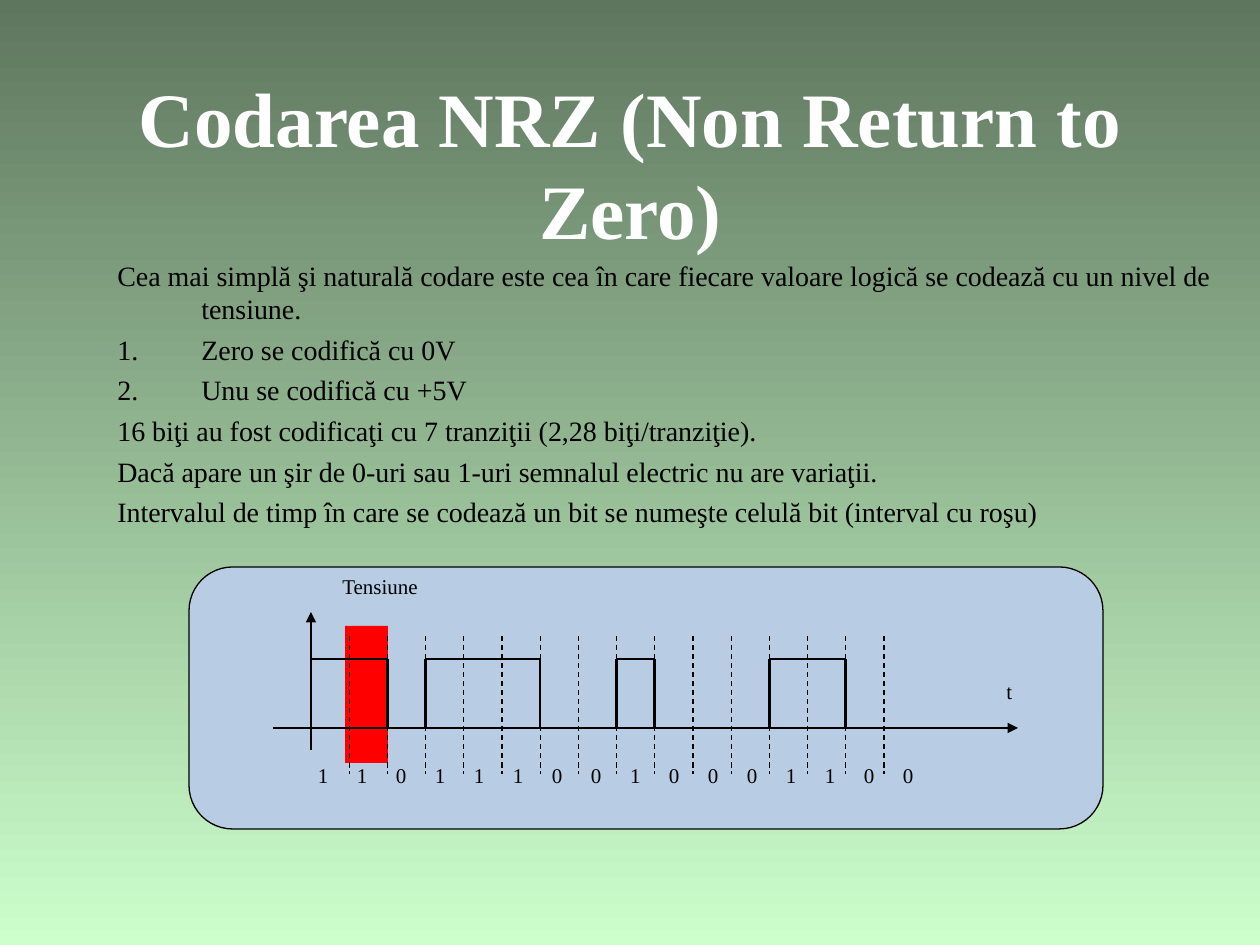
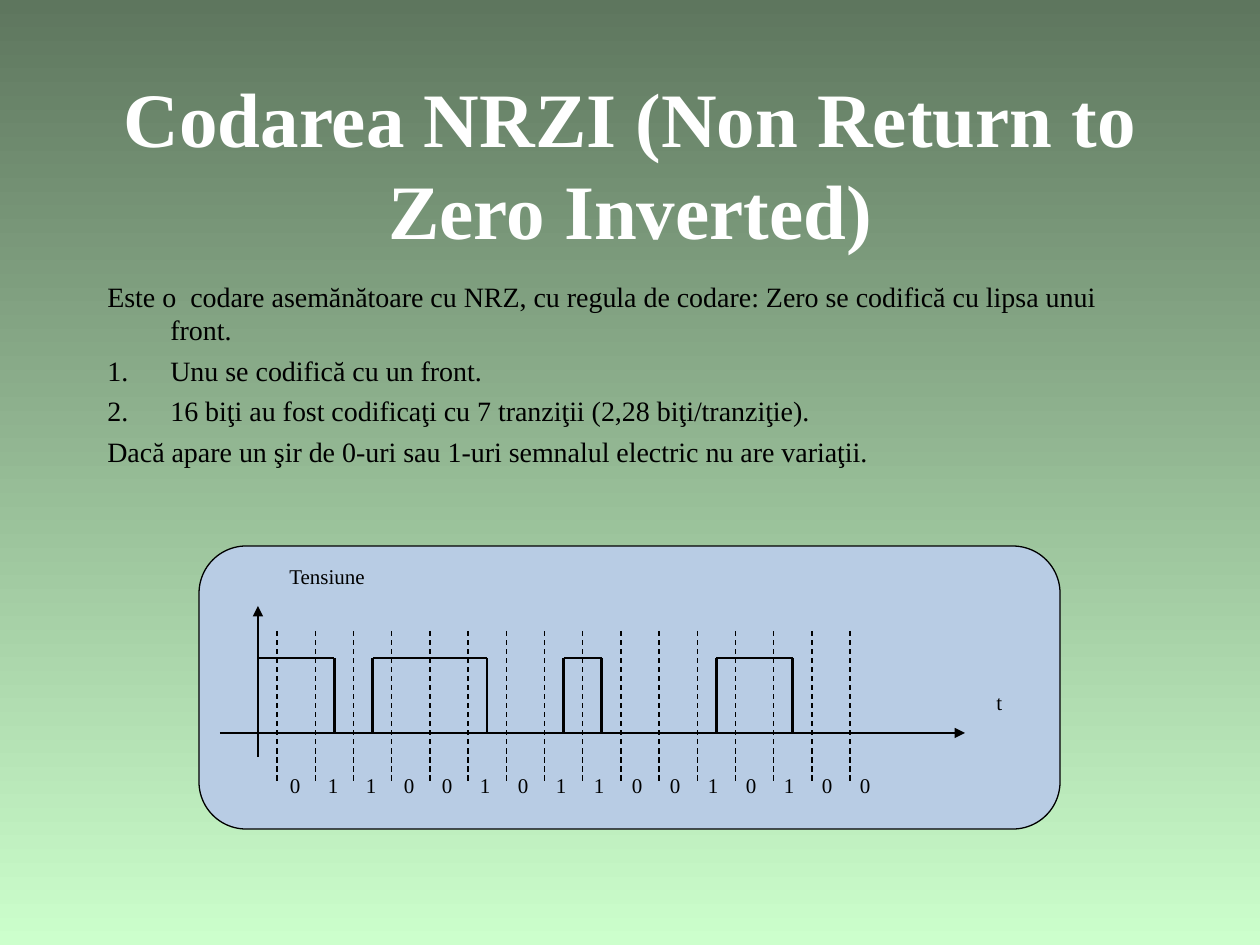
from lxml import etree
from pptx import Presentation
from pptx.dml.color import RGBColor
from pptx.enum.dml import MSO_LINE
from pptx.enum.shapes import MSO_CONNECTOR, MSO_SHAPE
from pptx.enum.text import MSO_ANCHOR, PP_ALIGN
from pptx.oxml.ns import qn
from pptx.util import Pt

PX = 914400 / 126
FONT = "Times New Roman"
BLACK = RGBColor(0x00, 0x00, 0x00)
WHITE = RGBColor(0xFF, 0xFF, 0xFF)
RED = RGBColor(0xFF, 0x00, 0x00)
PANEL_BLUE = RGBColor(0xB8, 0xCC, 0xE4)
GRADIENT = (RGBColor(0x5E, 0x76, 0x5E), RGBColor(0xCC, 0xFF, 0xCC))
STRAIGHT = MSO_CONNECTOR.STRAIGHT
ROUNDED = MSO_SHAPE.ROUNDED_RECTANGLE
RECTANGLE = MSO_SHAPE.RECTANGLE
DASH = MSO_LINE.DASH
TOP, MIDDLE = MSO_ANCHOR.TOP, MSO_ANCHOR.MIDDLE
LEFT, CENTER = PP_ALIGN.LEFT, PP_ALIGN.CENTER

TITLE_BOX = (95, 84, 1071, 158)
TITLE_FORMAT = {"size": Pt(44), "bold": True, "color": WHITE}
BODY_FORMAT = {"size": Pt(16), "bold": False, "color": BLACK}
LABEL_FORMAT = {"size": Pt(12), "bold": False, "color": BLACK}
CELL_WIDTH = 38.2
LEVEL_CHANGES = [0, 2, 3, 6, 8, 9, 12, 14]

CODINGS = [
    {
        "title": "Codarea NRZ (Non Return to Zero)",
        "body": [
            "Cea mai simplă şi naturală codare este cea în care fiecare valoare logică "
            "se codează cu un nivel de tensiune.",
            "Zero se codifică cu 0V",
            "Unu se codifică cu +5V",
            "16 biţi au fost codificaţi cu 7 tranziţii (2,28 biţi/tranziţie).",
            "Dacă apare un şir de 0-uri sau 1-uri semnalul electric nu are variaţii.",
            "Intervalul de timp în care se codează un bit se numeşte celulă bit "
            "(interval cu roşu)",
        ],
        "body_box": (105, 252, 1124, 294),
        "hanging": 84,
        "panel": (189, 567, 914, 262),
        "highlight": (345, 626, 43, 137),
        "bits": "1101110010001100",
        "bits_box": (305, 756, 649, 68),
        "bits_inset": 13,
        "bit_step": 39,
        "time_box": (994, 672, 77, 68),
        "voltage_box": (330, 567, 152, 68),
        "origin": 311,
        "axis": (750, 612),
        "levels": (659, 728),
        "guides": (636, 774),
        "guide_cells": range(1, 16),
        "guide_shift": 0,
        "signal_end": 16,
    },
    {
        "title": "Codarea NRZI (Non Return to Zero Inverted)",
        "body": [
            "Este o  codare asemănătoare cu NRZ, cu regula de codare: Zero se codifică "
            "cu lipsa unui front.",
            "Unu se codifică cu un front.",
            "16 biţi au fost codificaţi cu 7 tranziţii (2,28 biţi/tranziţie).",
            "Dacă apare un şir de 0-uri sau 1-uri semnalul electric nu are variaţii.",
        ],
        "body_box": (95, 273, 1018, 252),
        "hanging": 63,
        "panel": (199, 546, 861, 283),
        "highlight": None,
        "bits": "0110010110010100",
        "bits_box": (262, 766, 649, 76),
        "bits_inset": 28,
        "bit_step": 38,
        "time_box": (984, 683, 77, 74),
        "voltage_box": (277, 557, 152, 76),
        "origin": 258,
        "axis": (757, 606),
        "levels": (658, 733),
        "guides": (631, 781),
        "guide_cells": range(16),
        "guide_shift": 0.5,
        "signal_end": 16.5,
    },
]


def add_text(shapes, box, lines, text_format, align=LEFT, anchor=TOP):
    shape = shapes.add_textbox(*[round(value * PX) for value in box])
    frame = shape.text_frame
    frame.word_wrap = True
    frame.vertical_anchor = anchor
    for index, line in enumerate(lines):
        paragraph = frame.paragraphs[0] if index == 0 else frame.add_paragraph()
        paragraph.alignment = align
        run = paragraph.add_run()
        run.text = line
        run.font.name = FONT
        run.font.color.rgb = text_format["color"]
        for name in ("size", "bold"):
            setattr(run.font, name, text_format[name])
    return frame


def add_line(shapes, start, end, width=0.75, dash=None, arrow=False):
    connector = shapes.add_connector(
        STRAIGHT, *[round(value * PX) for value in (*start, *end)])
    connector.line.color.rgb = BLACK
    connector.line.width = Pt(width)
    if dash:
        connector.line.dash_style = dash
    properties = connector._element.spPr
    if arrow:
        etree.SubElement(properties.find(qn("a:ln")), qn("a:tailEnd"), type="triangle")
    etree.SubElement(properties, qn("a:effectLst"))


presentation = Presentation()
presentation.slide_width = round(1260 * PX)
presentation.slide_height = round(945 * PX)

for coding in CODINGS:
    slide = presentation.slides.add_slide(presentation.slide_layouts[6])
    background = slide.background.fill
    background.gradient()
    background.gradient_angle = 270
    for stop, color in zip(background.gradient_stops, GRADIENT):
        stop.color.rgb = color

    add_text(slide.shapes, TITLE_BOX, [coding["title"]], TITLE_FORMAT, CENTER, MIDDLE)

    body = add_text(slide.shapes, coding["body_box"], coding["body"], BODY_FORMAT)
    hanging = round(coding["hanging"] * PX)
    for index, paragraph in enumerate(body.paragraphs):
        paragraph.space_before = Pt(4)
        properties = paragraph._p.get_or_add_pPr()
        properties.set("marL", str(hanging))
        properties.set("indent", str(-hanging))
        if index in (1, 2):
            etree.SubElement(properties, qn("a:buAutoNum"), type="arabicPeriod")

    diagram = slide.shapes.add_group_shape().shapes
    panel = diagram.add_shape(ROUNDED, *[round(value * PX) for value in coding["panel"]])
    panel.shadow.inherit = False
    panel.fill.solid()
    panel.fill.fore_color.rgb = PANEL_BLUE
    panel.line.color.rgb = BLACK
    panel.line.width = Pt(0.75)

    if coding["highlight"]:
        bit_cell = diagram.add_shape(
            RECTANGLE, *[round(value * PX) for value in coding["highlight"]])
        bit_cell.shadow.inherit = False
        bit_cell.fill.solid()
        bit_cell.fill.fore_color.rgb = RED
        bit_cell.line.fill.background()

    add_text(diagram, coding["time_box"], ["t"], LABEL_FORMAT)
    add_text(diagram, coding["voltage_box"], ["Tensiune"], LABEL_FORMAT)
    bits = add_text(diagram, coding["bits_box"], ["\t".join(coding["bits"])], LABEL_FORMAT)
    bits.margin_left = round(coding["bits_inset"] * PX)
    tab_list = etree.SubElement(bits.paragraphs[0]._p.get_or_add_pPr(), qn("a:tabLst"))
    for index in range(1, len(coding["bits"])):
        position = round(index * coding["bit_step"] * PX)
        etree.SubElement(tab_list, qn("a:tab"), pos=str(position), algn="l")

    origin = coding["origin"]
    high, low = coding["levels"]
    axis_bottom, axis_top = coding["axis"]
    add_line(diagram, (origin, axis_bottom), (origin, axis_top), arrow=True)
    add_line(diagram, (origin - 38, low), (origin + 707, low), arrow=True)

    guide_top, guide_bottom = coding["guides"]
    for cell in coding["guide_cells"]:
        x = origin + (cell + coding["guide_shift"]) * CELL_WIDTH
        add_line(diagram, (x, guide_top), (x, guide_bottom), dash=DASH)

    edges = LEVEL_CHANGES + [coding["signal_end"]]
    for index, (start, end) in enumerate(zip(edges, edges[1:])):
        level, other = (high, low) if index % 2 == 0 else (low, high)
        left, right = origin + start * CELL_WIDTH, origin + end * CELL_WIDTH
        add_line(diagram, (left, level), (right, level), 1.5)
        if end != edges[-1]:
            add_line(diagram, (right, level), (right, other), 1.5)

presentation.save("out.pptx")
